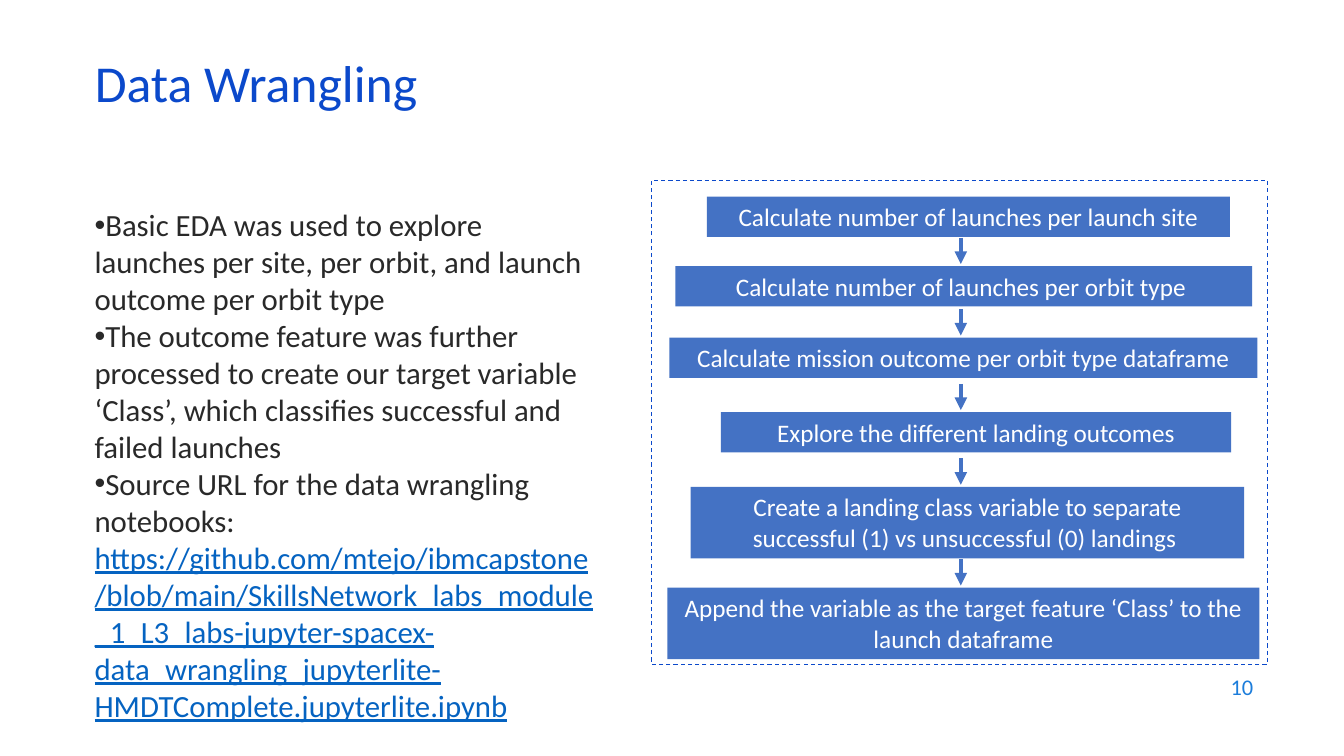
from dataclasses import dataclass

from lxml.etree import SubElement
from pptx import Presentation
from pptx.dml.color import RGBColor
from pptx.enum.dml import MSO_LINE
from pptx.enum.shapes import MSO_CONNECTOR, MSO_SHAPE
from pptx.enum.text import MSO_ANCHOR, MSO_AUTO_SIZE, PP_ALIGN
from pptx.oxml.ns import qn
from pptx.util import Inches, Pt


@dataclass(frozen=True)
class Theme:
    font: str = "Calibri"
    heading: str = "0B49CB"
    body: str = "292929"
    url: str = "0563C1"
    step: str = "4472C4"
    on_step: str = "FFFFFF"
    number: str = "1C7DDB"
    heading_size: int = 37
    body_size: int = 22
    step_size: int = 18
    number_size: int = 16


class SlideBuilder:
    COLUMNS = 100
    ROWS = 100

    def __init__(self, presentation, theme):
        self.theme = theme
        self.column = presentation.slide_width / self.COLUMNS
        self.row = presentation.slide_height / self.ROWS
        self.slide = presentation.slides.add_slide(presentation.slide_layouts[5])
        self.shapes = self.slide.shapes

    def area(self, left, top, width, height):
        return (round(left * self.column), round(top * self.row),
                round(width * self.column), round(height * self.row))

    def style(self, font, size, color):
        font.name = self.theme.font
        font.size = Pt(size)
        font.color.rgb = RGBColor.from_string(color)

    def title(self, wording, *box):
        heading = self.shapes.title
        heading.left, heading.top, heading.width, heading.height = self.area(*box)
        frame = heading.text_frame
        frame.text = wording
        frame.auto_size = MSO_AUTO_SIZE.NONE
        frame.vertical_anchor = MSO_ANCHOR.MIDDLE
        paragraph = frame.paragraphs[0]
        paragraph.alignment = PP_ALIGN.LEFT
        paragraph.line_spacing = 0.7
        self.style(paragraph.font, self.theme.heading_size, self.theme.heading)

    def bullets(self, points, url, *box):
        frame = self.shapes.add_textbox(*self.area(*box)).text_frame
        frame.word_wrap = True
        for index, point in enumerate(points):
            paragraph = frame.add_paragraph() if index else frame.paragraphs[0]
            properties = paragraph._p.get_or_add_pPr()
            properties.set("marL", "0")
            properties.set("indent", "0")
            SubElement(properties, qn("a:buFont"), typeface="Arial")
            SubElement(properties, qn("a:buChar"), char="•")
            paragraph.add_run().text = point
            self.style(paragraph.font, self.theme.body_size, self.theme.body)
        address = paragraph.add_run()
        address.text = url
        address.font.underline = True
        address.font.color.rgb = RGBColor.from_string(self.theme.url)

    def page_number(self, number, *box):
        frame = self.shapes.add_textbox(*self.area(*box)).text_frame
        frame.word_wrap = True
        frame.vertical_anchor = MSO_ANCHOR.MIDDLE
        paragraph = frame.paragraphs[0]
        paragraph.text = number
        paragraph.alignment = PP_ALIGN.RIGHT
        self.style(paragraph.font, self.theme.number_size, self.theme.number)

    def rectangle(self, *box):
        rectangle = self.shapes.add_shape(MSO_SHAPE.RECTANGLE, *self.area(*box))
        rectangle.shadow.inherit = False
        return rectangle

    def dashed_frame(self, *box):
        border = self.rectangle(*box)
        border.fill.background()
        border.line.color.rgb = RGBColor.from_string(self.theme.heading)
        border.line.width = Pt(0.75)
        border.line.dash_style = MSO_LINE.DASH

    def step(self, wording, *box):
        step = self.rectangle(*box)
        step.fill.solid()
        step.fill.fore_color.rgb = RGBColor.from_string(self.theme.step)
        step.line.fill.background()
        frame = step.text_frame
        frame.word_wrap = True
        frame.vertical_anchor = MSO_ANCHOR.TOP
        paragraph = frame.paragraphs[0]
        paragraph.text = wording
        paragraph.alignment = PP_ALIGN.CENTER
        self.style(paragraph.font, self.theme.step_size, self.theme.on_step)

    def down_arrow(self, center, top, length):
        x, y, _, drop = self.area(center, top, 0, length)
        arrow = self.shapes.add_connector(MSO_CONNECTOR.STRAIGHT, x, y, x, y + drop)
        arrow.line.color.rgb = RGBColor.from_string(self.theme.step)
        arrow.line.width = Pt(3)
        SubElement(arrow.line._get_or_add_ln(), qn("a:tailEnd"), type="triangle")
        SubElement(arrow._element.spPr, qn("a:effectLst"))


POINTS = [
    "Basic EDA was used to explore launches per site, per orbit, and launch "
    "outcome per orbit type",
    "The outcome feature was further processed to create our target variable "
    "‘Class’, which classifies successful and failed launches",
    "Source URL for the data wrangling notebooks: ",
]
NOTEBOOK_URL = (
    "https://github.com/mtejo/ibmcapstone/blob/main/SkillsNetwork_labs_module"
    "_1_L3_labs-jupyter-spacex-data_wrangling_jupyterlite-"
    "HMDTComplete.jupyterlite.ipynb"
)
ONE_LINE, TWO_LINES = 5.33, 9.47
STEPS = [
    ("Calculate number of launches per launch site", 52.59, 26, 38.93, ONE_LINE),
    ("Calculate number of launches per orbit type ", 50.26, 35.2, 42.91, ONE_LINE),
    ("Calculate mission outcome per orbit type dataframe",
     49.81, 44.67, 43.74, ONE_LINE),
    ("Explore the different landing outcomes", 53.64, 54.53, 37.96, ONE_LINE),
    ("Create a landing class variable to separate successful (1) vs "
     "unsuccessful (0) landings ", 51.39, 64.4, 41.19, TWO_LINES),
    ("Append the variable as the target feature ‘Class’ to the launch dataframe",
     49.66, 77.73, 44.04, TWO_LINES),
]
FLOW_CENTER = 71.49
ARROW_RISE, ARROW_LENGTH = 3.75, 3.47


def main():
    presentation = Presentation()
    presentation.slide_width = Inches(13.33)
    presentation.slide_height = Inches(7.5)
    builder = SlideBuilder(presentation, Theme())
    builder.page_number("10", FLOW_CENTER, 87.87, 22.5, 5.87)
    builder.bullets(POINTS, NOTEBOOK_URL, 6.3, 26.6, 38.93, 63.47)
    builder.title("Data Wrangling", 6.3, 7.87, 86.27, 8)
    builder.dashed_frame(48.46, 23.87, 45.84, 64)
    for step in STEPS:
        builder.step(*step)
    for _, _, top, _, _ in STEPS[1:]:
        builder.down_arrow(FLOW_CENTER, top - ARROW_RISE, ARROW_LENGTH)
    presentation.save("out.pptx")


if __name__ == "__main__":
    main()
